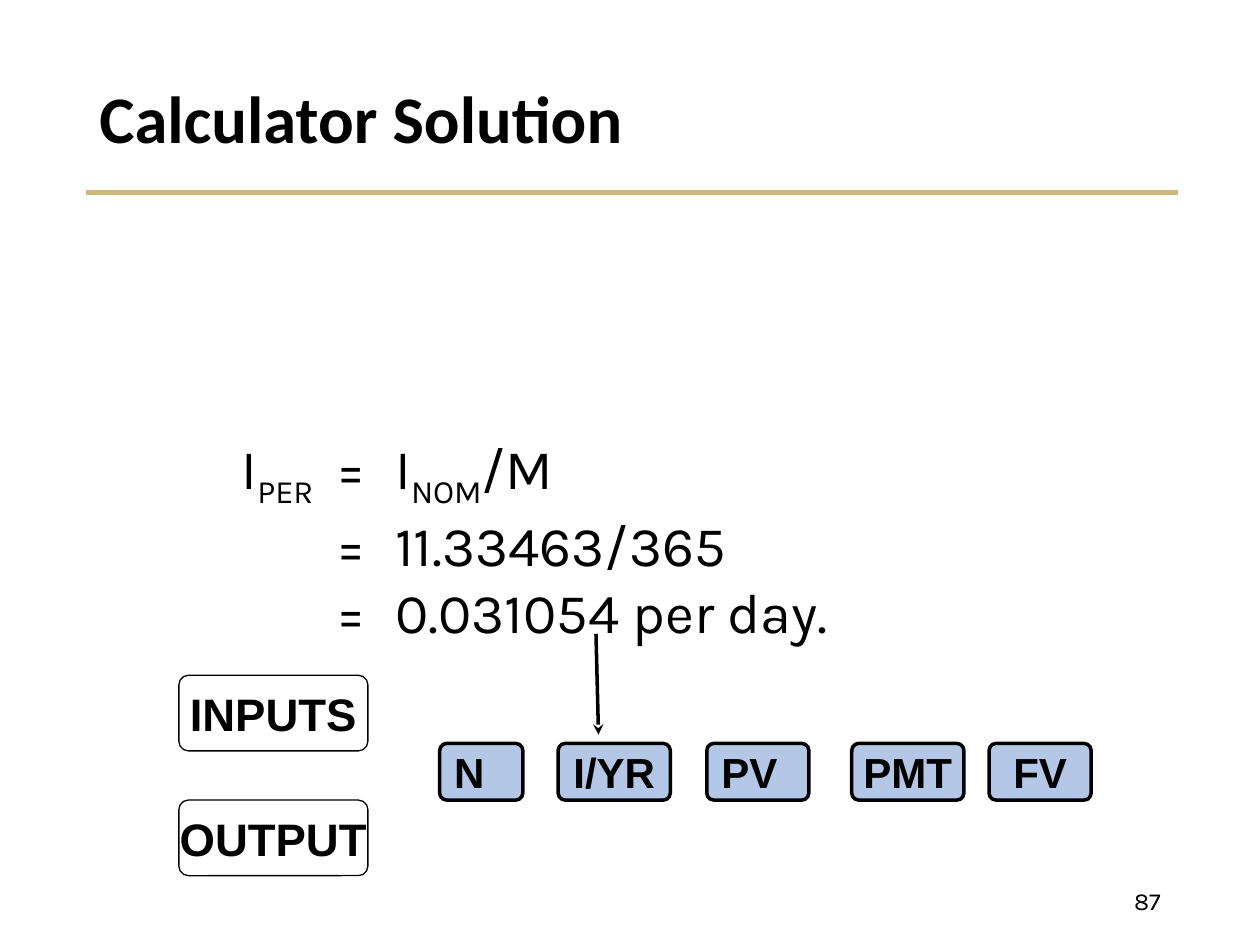
from pptx import Presentation
from pptx.dml.color import RGBColor
from pptx.enum.shapes import MSO_CONNECTOR as Connector, MSO_SHAPE as Shape
from pptx.enum.text import MSO_ANCHOR as Anchor, PP_ALIGN as Align
from pptx.oxml.ns import qn
from pptx.util import Inches, Pt
from lxml import etree

BLACK, GOLD, BLUE = "000000", "CFB87C", "B4C7E7"
TITLE = dict(name="Calibri", size=Pt(38), bold=True)
BODY = dict(name="Karla", size=Pt(32))
NUMBER = dict(name="Karla", size=Pt(14))
LABEL = dict(name="Arial", size=Pt(26), bold=True)
KEY = dict(name="Arial", size=Pt(24), bold=True)


def color(value):
    return RGBColor.from_string(value)


def add_span(para, text, style, baseline=0):
    """Add a run; baseline is a percentage, negative for subscripts."""
    span = para.add_run()
    span.text = text
    for name, value in style.items():
        setattr(span.font, name, value)
    span.font.color.rgb = color(BLACK)
    if baseline:
        span.font._element.set("baseline", str(baseline * 1000))


def add_text(page, place, text, style, align=Align.LEFT, line_spacing=1.0):
    box = page.shapes.add_textbox(*map(Inches, place))
    frame = box.text_frame
    frame.word_wrap = True
    frame.vertical_anchor = Anchor.MIDDLE
    para = frame.paragraphs[0]
    para.alignment = align
    para.line_spacing = line_spacing
    add_span(para, text, style)


def add_button(page, place, text, style, align=Align.CENTER, fill=None, width=0.75):
    button = page.shapes.add_shape(Shape.ROUNDED_RECTANGLE, *map(Inches, place))
    button.shadow.inherit = False
    button.adjustments[0] = 0.125
    if fill:
        button.fill.solid()
        button.fill.fore_color.rgb = color(fill)
    else:
        button.fill.background()
    button.line.color.rgb = color(BLACK)
    button.line.width = Pt(width)
    frame = button.text_frame
    frame.word_wrap = False
    frame.vertical_anchor = Anchor.MIDDLE
    para = frame.paragraphs[0]
    para.alignment = align
    add_span(para, text, style)


def add_line(page, start, end, line_color, width, arrow=False):
    line = page.shapes.add_connector(Connector.STRAIGHT, *map(Inches, start + end))
    line.line.color.rgb = color(line_color)
    line.line.width = Pt(width)
    if arrow:
        etree.SubElement(line.line._get_or_add_ln(), qn("a:tailEnd"), type="stealth")
    etree.SubElement(line._element.spPr, qn("a:effectLst"))


def add_equations(page, place, rows, tabs):
    """Add rows of (text, baseline) pieces, aligned at the tab stops."""
    box = page.shapes.add_textbox(*map(Inches, place))
    frame = box.text_frame
    frame.word_wrap = True
    for index, pieces in enumerate(rows):
        para = frame.add_paragraph() if index else frame.paragraphs[0]
        stops = etree.SubElement(para._p.get_or_add_pPr(), qn("a:tabLst"))
        for tab in tabs:
            etree.SubElement(stops, qn("a:tab"), pos=str(Inches(tab)), algn="l")
        para.line_spacing = 1.0 if index else 1.35
        for text, baseline in pieces:
            add_span(para, text, BODY, baseline)


def main():
    deck = Presentation()
    deck.slide_width, deck.slide_height = Inches(10), Inches(7.5)
    page = deck.slides.add_slide(deck.slide_layouts[6])

    add_line(page, (0.68, 1.53), (9.35, 1.53), GOLD, 3)
    add_text(page, (0.69, 0.4, 8.62, 1.13), "Calculator Solution", TITLE, line_spacing=0.9)
    add_text(page, (7.06, 6.95, 2.25, 0.4), "87", NUMBER, Align.RIGHT)

    for top, text in ((5.36, "INPUTS"), (6.35, "OUTPUT")):
        add_button(page, (1.42, top, 1.5, 0.6), text, LABEL)

    keys = (
        (3.49, 0.66, "N", Align.LEFT),
        (4.43, 0.89, "I/YR", Align.CENTER),
        (5.61, 0.81, "PV", Align.LEFT),
        (6.76, 0.89, "PMT", Align.CENTER),
        (7.85, 0.81, "FV", Align.CENTER),
    )
    for left, width, text, align in keys:
        add_button(page, (left, 5.9, width, 0.45), text, KEY, align, BLUE, 2)

    rows = (
        (("I", 0), ("PER", -25), ("\t=\tI", 0), ("NOM", -25), ("/M", 0)),
        (("\t=\t11.33463/365", 0),),
        (("\t=\t0.031054 per day.", 0),),
    )
    add_equations(page, (1.82, 3.18, 5.05, 1.91), rows, (0.75, 1.22))
    add_line(page, (4.73, 5.03), (4.75, 5.83), BLACK, 2, arrow=True)

    deck.save("out.pptx")


if __name__ == "__main__":
    main()
